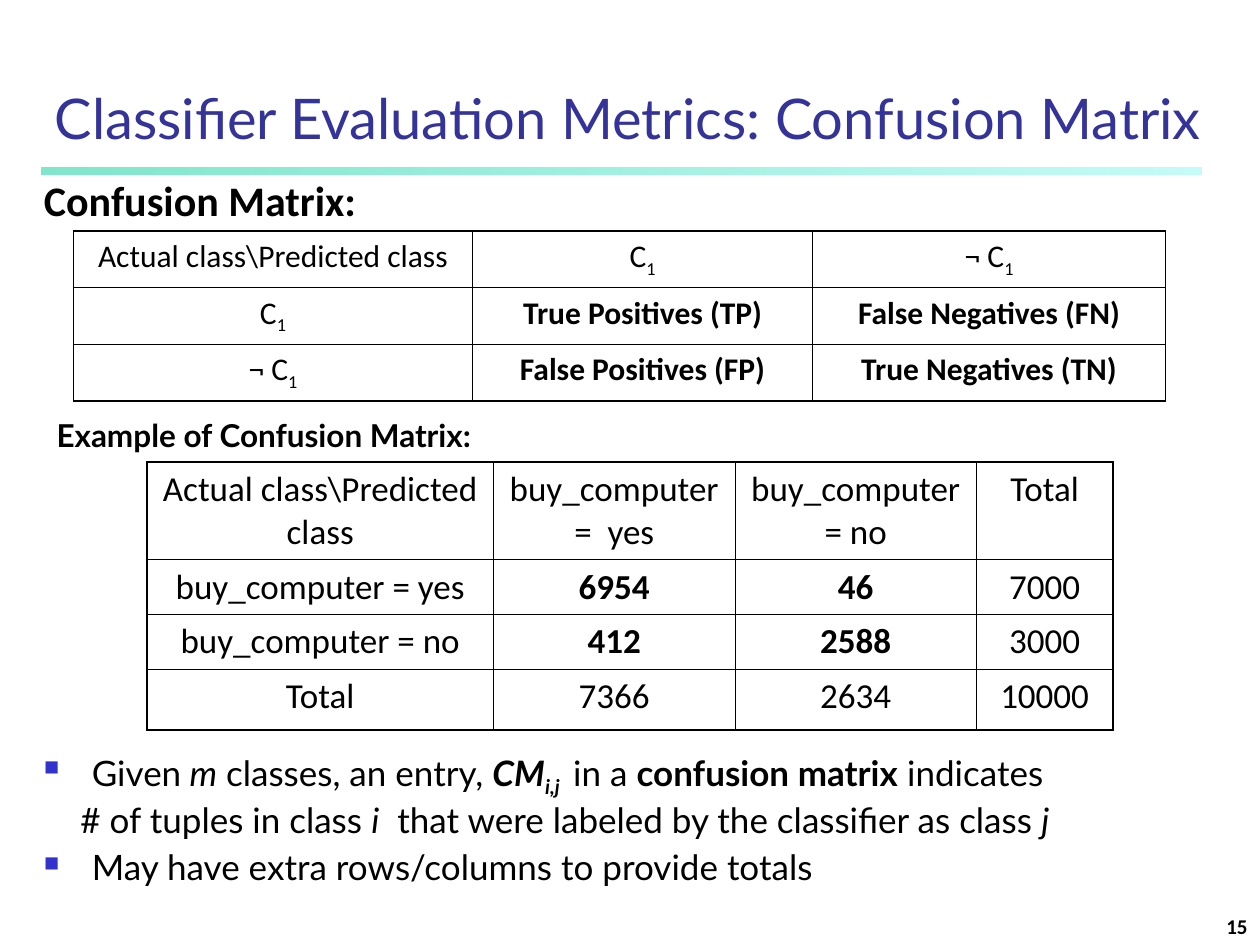
from lxml.etree import SubElement
from pptx import Presentation
from pptx.dml.color import RGBColor
from pptx.enum.shapes import MSO_SHAPE as SHAPE
from pptx.enum.text import MSO_ANCHOR as ANCHOR, MSO_AUTO_SIZE as AUTO, PP_ALIGN as ALIGN
from pptx.oxml.ns import qn
from pptx.util import Inches, Pt

COLORS = {"title": "333399", "text": "000000", "bullet": "3333CC",
          "bar_start": "00CE98", "bar_end": "8FF9EF"}
HEAD, BODY = "Lato", "Calibri"
UNIT = Inches(1 / 12)  # grid of 120 columns by 90 rows
THIN, THICK = 0.45, 1.08


def rgb(name):
    return RGBColor.from_string(COLORS[name])


def sub(parent, tag, **attrs):
    return SubElement(parent, qn(tag), attrs)


class Deck:
    def __init__(self):
        self.prs = Presentation()
        self.prs.slide_width, self.prs.slide_height = 120 * UNIT, 90 * UNIT
        self.s = self.prs.slides.add_slide(self.prs.slide_layouts[5])

    def box(self, *cells):
        """Turn left, top, width, height in grid units into lengths."""
        return [int(c * UNIT) for c in cells]

    def fill_text(self, p, content, size, font=BODY, color="text", bold=None, align=ALIGN.LEFT):
        """Fill a paragraph with a string, or with (text, style) runs: b, i, s = subscript."""
        p.alignment = align
        f = p.font
        f.size, f.name, f.bold = Pt(size), font, bold
        f.color.rgb = rgb(color)
        for text, style in [(content, "")] if isinstance(content, str) else content:
            r = p.add_run()
            r.text = text
            if "b" in style:
                r.font.bold = True
            if "i" in style:
                r.font.italic = True
            if "s" in style:
                r.font._element.set("baseline", "-25000")

    def title(self, text, *at):
        sp = self.s.shapes.title
        sp.left, sp.top, sp.width, sp.height = self.box(*at)
        tf = sp.text_frame
        tf.auto_size, tf.vertical_anchor = AUTO.NONE, ANCHOR.BOTTOM
        self.fill_text(tf.paragraphs[0], text, 32, HEAD, "title")

    def bar(self, *at):
        sp = self.s.shapes.add_shape(SHAPE.RECTANGLE, *self.box(*at))
        sp.shadow.inherit = False
        sp.line.fill.background()
        sp.fill.gradient()
        sp.fill.gradient_angle = 0
        stops = zip(sp.fill.gradient_stops, ("bar_start", "bar_end"), (0, 1))
        for stop, color, position in stops:
            stop.color.rgb, stop.position = rgb(color), position
        for clr, alpha in zip(sp._element.spPr.iter(qn("a:srgbClr")), ("50000", "52000")):
            sub(clr, "a:alpha", val=alpha)

    def frame(self, *at, wrap=True, anchor=ANCHOR.TOP):
        tf = self.s.shapes.add_textbox(*self.box(*at)).text_frame
        tf.word_wrap, tf.vertical_anchor = wrap, anchor
        return tf

    def label(self, text, size, *at, font=BODY, align=ALIGN.LEFT, **frame):
        tf = self.frame(*at, **frame)
        self.fill_text(tf.paragraphs[0], text, size, font, bold=True, align=align)

    def bullets(self, items, *at):
        """Items are (bulleted, content); an unbulleted item continues the one above."""
        tf = self.frame(*at)
        for n, (bulleted, content) in enumerate(items):
            p = tf.add_paragraph() if n else tf.paragraphs[0]
            p.line_spacing = 0.9
            if n:
                p.space_before = Pt(5)
            pPr = p._p.get_or_add_pPr()
            margin = Inches(0.38 if bulleted else 0.29)
            pPr.set("marL", str(margin))
            pPr.set("indent", str(-margin if bulleted else 0))
            if bulleted:
                sub(sub(pPr, "a:buClr"), "a:srgbClr", val=COLORS["bullet"])
                sub(pPr, "a:buSzPct", val="60000")
                sub(pPr, "a:buChar", char="■")
            self.fill_text(p, content, 20, HEAD)

    def borders(self, cell, widths):
        tcPr = cell._tc.get_or_add_tcPr()
        for side, width in zip("LRTB", widths):
            ln = sub(tcPr, f"a:ln{side}", w=str(Pt(width)))
            sub(sub(ln, "a:solidFill"), "a:srgbClr", val=COLORS["text"])

    def table(self, rows, size, left, top, widths, heights):
        """Draw a grid with thin inner lines and a thicker outline."""
        at = self.box(left, top, sum(widths), sum(heights))
        t = self.s.shapes.add_table(len(heights), len(widths), *at).table
        t.first_row = t.horz_banding = False
        for col, width in zip(t.columns, widths):
            col.width = int(width * UNIT)
        for row, height in zip(t.rows, heights):
            row.height = int(height * UNIT)
        for i, row in enumerate(rows):
            for j, content in enumerate(row):
                cell = t.cell(i, j)
                edges = (j == 0, j == len(widths) - 1, i == 0, i == len(heights) - 1)
                self.borders(cell, [THICK if edge else THIN for edge in edges])
                cell.fill.background()
                self.fill_text(cell.text_frame.paragraphs[0], content, size, align=ALIGN.CENTER)


def bold(text):
    return [(text, "b")]


def main():
    deck = Deck()
    deck.bar(4, 16, 110.4, 0.6)
    deck.title("Classifier Evaluation Metrics: Confusion Matrix", 4, 5, 116, 10)

    corner = "Actual class\\Predicted class"
    c1, not_c1 = [("C", ""), ("1", "s")], [("¬ C", ""), ("1", "s")]
    deck.label("Confusion Matrix:", 24, 3, 16, 34.2, 6)
    deck.table([
        [corner, c1, not_c1],
        [c1, bold("True Positives (TP)"), bold("False Negatives (FN)")],
        [not_c1, bold("False Positives (FP)"), bold("True Negatives (TN)")],
    ], 18, 7, 22, [38, 32.4, 33.6], [5.4] * 3)

    deck.label("Example of Confusion Matrix:", 18, 4.2, 39, 46.4, 4.8, font=HEAD, wrap=False)
    deck.table([
        [corner, "buy_computer =  yes", "buy_computer = no", "Total"],
        ["buy_computer = yes", bold("6954"), bold("46"), "7000"],
        ["buy_computer = no", bold("412"), bold("2588"), "3000"],
        ["Total", "7366", "2634", "10000"],
    ], 20, 14, 44, [33, 23, 23, 13], [9.3, 5.2, 5.2, 5.8])

    deck.bullets([
        (True, [("Given", ""), (" m", "i"), (" classes, an entry, ", ""), ("CM", "bi"),
                ("i,j ", "bis"), (" in a ", ""), ("confusion matrix", "b"), (" indicates", "")]),
        (False, [("# of tuples in class ", ""), ("i", "i"),
                 ("  that were labeled by the classifier as class ", ""), ("j", "i")]),
        (True, "May have extra rows/columns to provide totals"),
    ], 3, 71, 111, 16.6)
    deck.label("15", 12, 95, 85, 25, 5, align=ALIGN.RIGHT, anchor=ANCHOR.BOTTOM)
    deck.prs.save("out.pptx")


if __name__ == "__main__":
    main()
